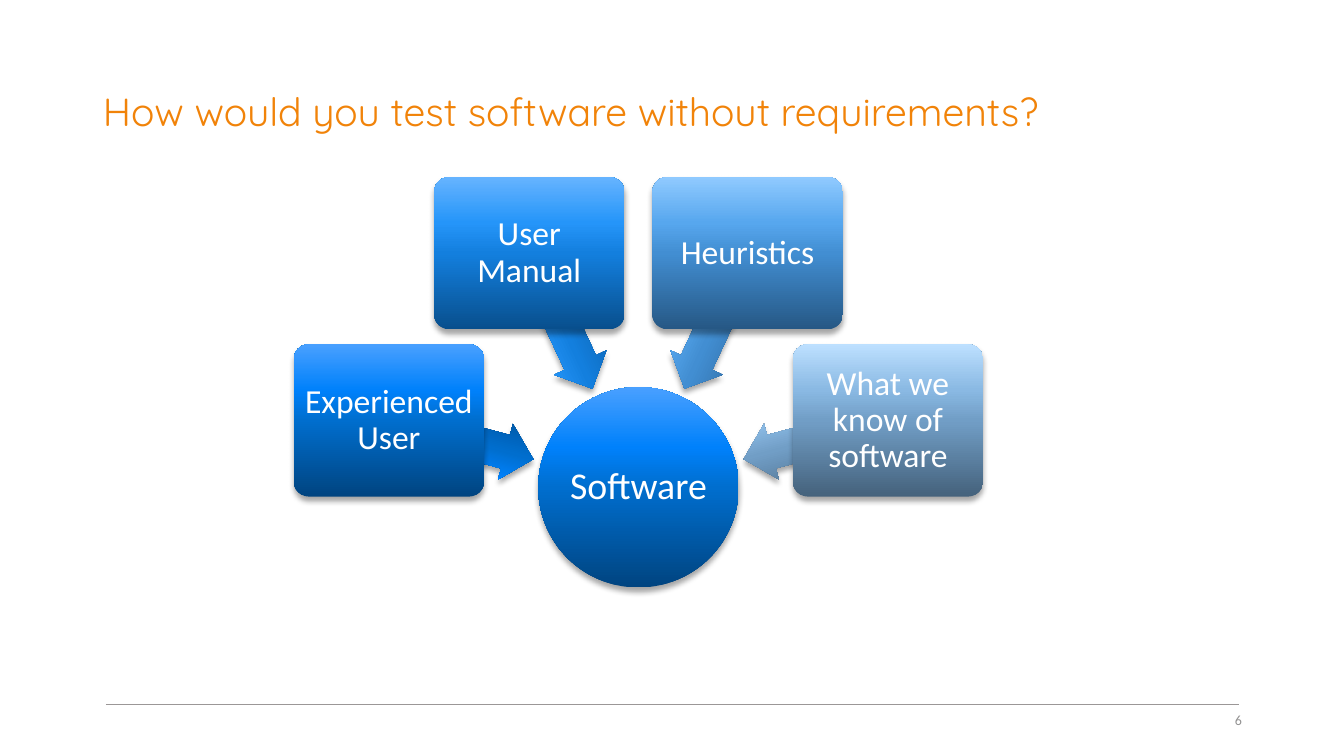
from math import cos, radians, sin

from lxml import etree
from pptx import Presentation
from pptx.dml.color import RGBColor
from pptx.enum.shapes import MSO_CONNECTOR, MSO_SHAPE
from pptx.enum.text import MSO_ANCHOR, PP_ALIGN
from pptx.oxml import parse_xml
from pptx.oxml.ns import nsdecls, qn
from pptx.util import Cm, Pt

TITLE = "How would you test software without requirements?"
CENTRE_LABEL = "Software"
PAGE_NUMBER = "6"
SOURCES = [
    ("Experienced User", ("004480", "006ECE", "0081FB", "49A0FF")),
    ("User Manual", ("084F8D", "137FDE", "2595F9", "66B4FF")),
    ("Heuristics", ("265885", "428ED2", "57A7EE", "90CAFF")),
    ("What we know of software", ("45627C", "719EC6", "8AB9E3", "BDE0FF")),
]


class Theme:
    title_font, body_font = "Quicksand", "Calibri"
    title_color, text_color = "F18309", "FFFFFF"
    rule_color, number_color = "9B9797", "929191"
    title_size, centre_size, box_size, number_size = 28, 27, 24, 10
    stops = (0, 50, 70, 100)


CENTRE_X, CENTRE_Y, CIRCLE = 16.09, 12.28, 5.05
BOX_WIDTH, BOX_HEIGHT, BOX_RADIUS = 4.8, 3.84, 6.51
ARROW_LENGTH, ARROW_HEIGHT, ARROW_RADIUS = 3.77, 1.45, 4.63
FIRST_ANGLE, ANGLE_STEP = 195, 50


def write(shape, text, font, size, color, align, inset=None):
    frame = shape.text_frame
    frame.word_wrap = True
    frame.vertical_anchor = MSO_ANCHOR.MIDDLE
    if inset is not None:
        frame.margin_left = frame.margin_right = Cm(inset)
        frame.margin_top = frame.margin_bottom = Cm(inset)
    para = frame.paragraphs[0]
    para.alignment = align
    para.line_spacing = 0.9
    span = para.add_run()
    span.text = text
    span.font.name = font
    span.font.size = Pt(size)
    span.font.color.rgb = RGBColor.from_string(color)


def add_glossy(page, kind, x, y, width, height, colors):
    shape = page.shapes.add_shape(
        kind, Cm(x - width / 2), Cm(y - height / 2), Cm(width), Cm(height))
    shape.line.fill.background()
    shape.shadow.inherit = False
    properties = shape.element.spPr
    stops = "".join(
        f'<a:gs pos="{stop * 1000}"><a:srgbClr val="{color}"/></a:gs>'
        for stop, color in zip(Theme.stops, colors))
    gradient = parse_xml(
        f'<a:gradFill {nsdecls("a")} rotWithShape="1"><a:gsLst>{stops}</a:gsLst>'
        '<a:lin ang="16200000" scaled="0"/></a:gradFill>')
    properties.find(qn("a:ln")).addprevious(gradient)
    properties.find(qn("a:effectLst")).append(parse_xml(
        f'<a:outerShdw {nsdecls("a")} blurRad="{Pt(4)}" dist="{Pt(3)}" '
        'dir="5400000" rotWithShape="0"><a:srgbClr val="000000">'
        '<a:alpha val="35000"/></a:srgbClr></a:outerShdw>'))
    return shape


def on_ray(angle, radius):
    turn = radians(angle)
    return CENTRE_X + radius * cos(turn), CENTRE_Y + radius * sin(turn)


def add_source(page, angle, label, colors):
    arrow = add_glossy(page, MSO_SHAPE.LEFT_ARROW, *on_ray(angle, ARROW_RADIUS),
                       ARROW_LENGTH, ARROW_HEIGHT, colors)
    arrow.adjustments[0] = 0.6
    arrow.adjustments[1] = 0.5
    arrow.rotation = angle
    box = add_glossy(page, MSO_SHAPE.ROUNDED_RECTANGLE, *on_ray(angle, BOX_RADIUS),
                     BOX_WIDTH, BOX_HEIGHT, colors)
    box.adjustments[0] = 0.1
    write(box, label, Theme.body_font, Theme.box_size, Theme.text_color,
          PP_ALIGN.CENTER, 0.12)


def add_frame(page):
    rule = page.shapes.add_connector(
        MSO_CONNECTOR.STRAIGHT, Cm(2.67), Cm(17.75), Cm(31.22), Cm(17.75))
    rule.line.color.rgb = RGBColor.from_string(Theme.rule_color)
    rule.line.width = Pt(1)
    etree.SubElement(rule.element.spPr, qn("a:effectLst"))
    title = page.shapes.title
    title.left, title.top, title.width, title.height = (
        Cm(2.34), Cm(1.02), Cm(29.21), Cm(3.68))
    write(title, TITLE, Theme.title_font, Theme.title_size, Theme.title_color,
          PP_ALIGN.LEFT)
    number = page.shapes.add_textbox(Cm(23.93), Cm(17.65), Cm(7.62), Cm(1.02))
    write(number, PAGE_NUMBER, Theme.body_font, Theme.number_size,
          Theme.number_color, PP_ALIGN.RIGHT)


def main():
    deck = Presentation()
    deck.slide_width, deck.slide_height = Cm(33.87), Cm(19.05)
    page = deck.slides.add_slide(deck.slide_layouts[5])
    add_frame(page)
    circle = add_glossy(page, MSO_SHAPE.OVAL, CENTRE_X, CENTRE_Y,
                        CIRCLE, CIRCLE, SOURCES[0][1])
    write(circle, CENTRE_LABEL, Theme.body_font, Theme.centre_size,
          Theme.text_color, PP_ALIGN.CENTER, 0.05)
    for index, (label, colors) in enumerate(SOURCES):
        add_source(page, FIRST_ANGLE + index * ANGLE_STEP, label, colors)
    deck.save("out.pptx")


if __name__ == "__main__":
    main()
